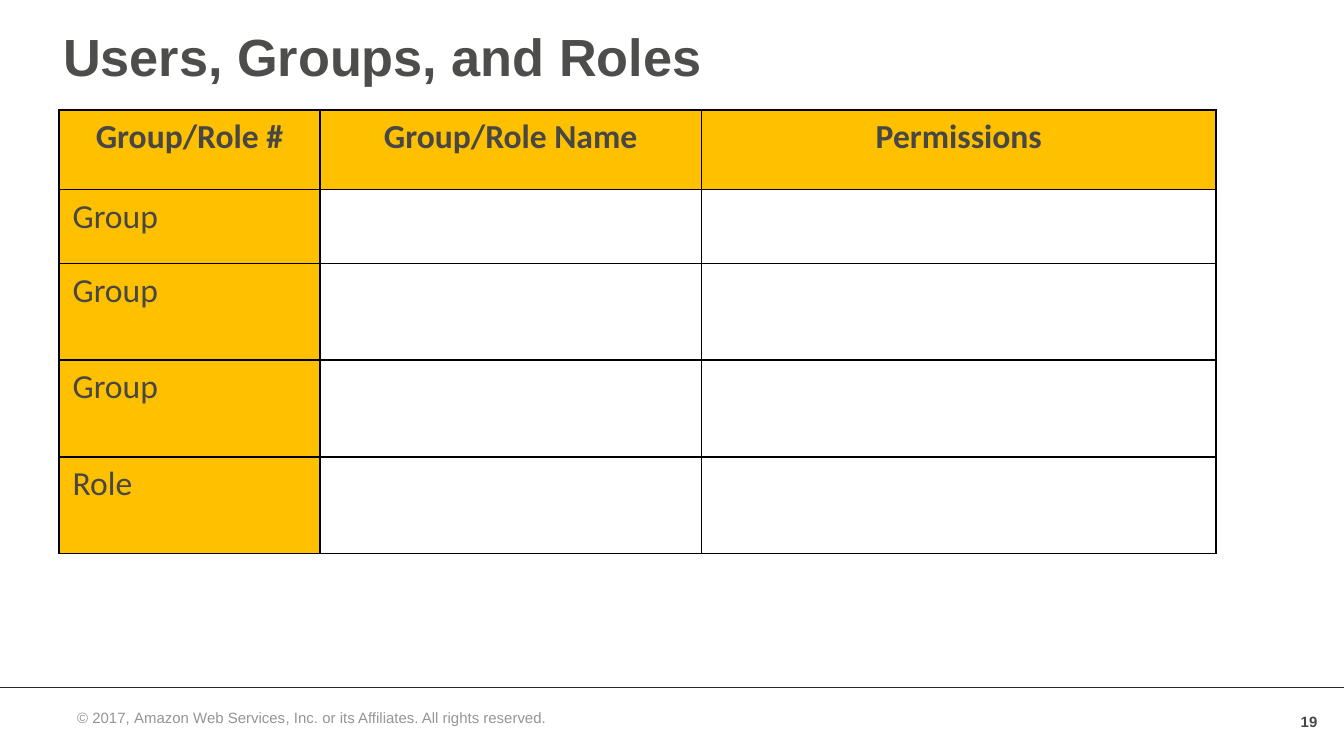
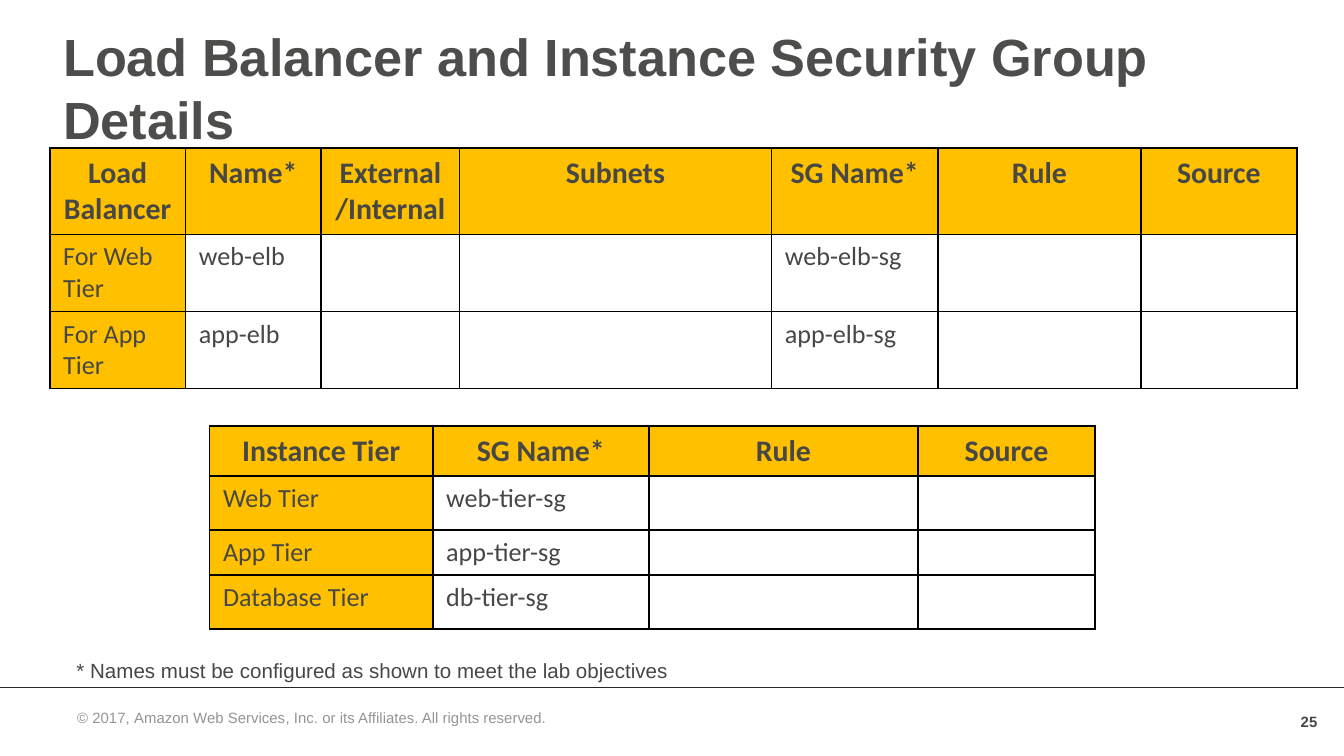
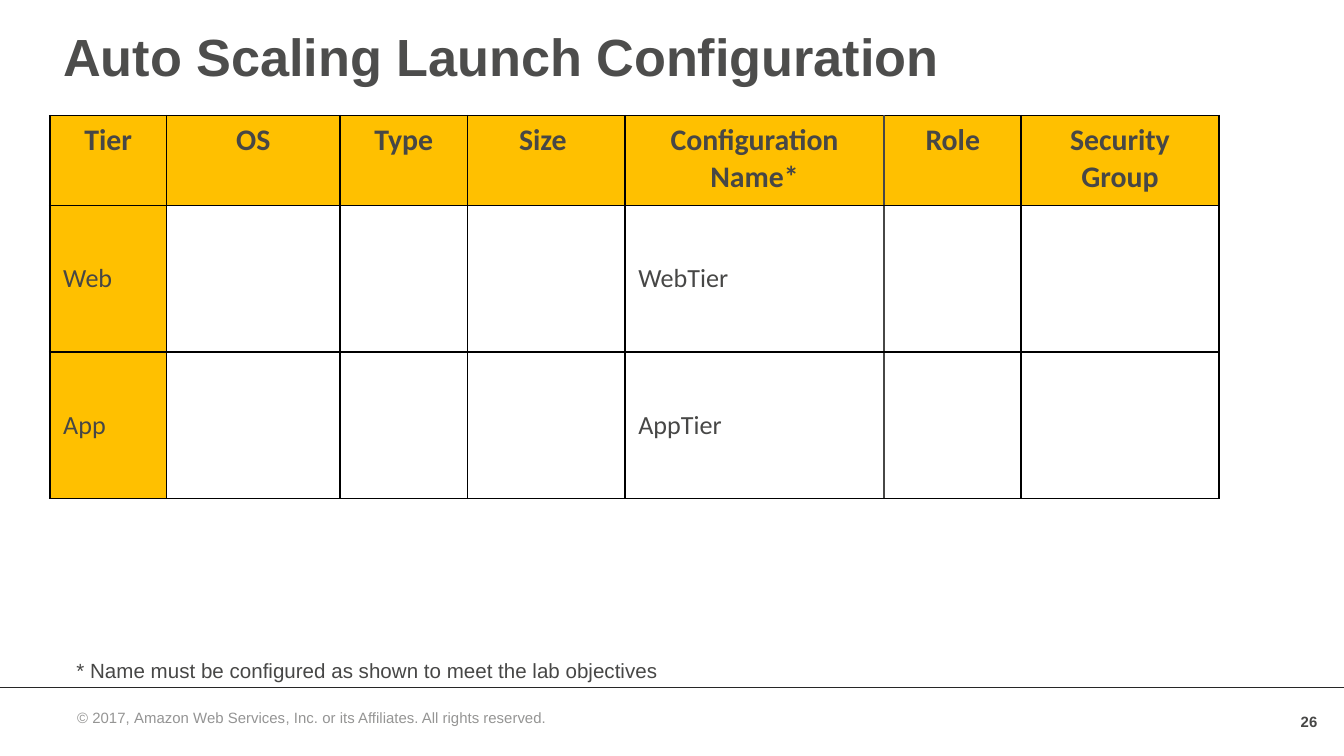
from itertools import cycle

from lxml import etree
from pptx import Presentation
from pptx.dml.color import RGBColor
from pptx.enum.shapes import MSO_CONNECTOR
from pptx.enum.text import MSO_ANCHOR, MSO_AUTO_SIZE, PP_ALIGN
from pptx.oxml.ns import qn
from pptx.util import Inches, Pt

LEFT, MID, RIGHT = PP_ALIGN.LEFT, PP_ALIGN.CENTER, PP_ALIGN.RIGHT
TOP, CENTER = MSO_ANCHOR.TOP, MSO_ANCHOR.MIDDLE
FIT, FIXED = MSO_AUTO_SIZE.SHAPE_TO_FIT_TEXT, MSO_AUTO_SIZE.NONE
STRAIGHT = MSO_CONNECTOR.STRAIGHT

# Theme: colours and text looks
INK = "474746"
THEME = {
    "gold": "FFC000", "edge": "000000", "rule": "272727",
    "title": {"name": "Arial", "size": Pt(28), "bold": True, "rgb": "4D4D4C"},
    "note": {"name": "Arial", "size": Pt(11), "bold": False, "rgb": INK},
    "page": {"name": "Arial", "size": Pt(8), "bold": True, "rgb": INK},
    "legal": {"name": "Arial", "size": Pt(8), "bold": False, "rgb": "959594"},
    "legal2": {"name": "Arial", "size": Pt(8), "bold": False, "rgb": "949494"},
    "cell": {"name": "Calibri", "rgb": INK},
}
LEGAL = ["© 2017, ", "Amazon Web Services", ", Inc. ", "or",
         " its Affiliates. All rights reserved."]

# Content: each table has its place, columns, rows, type sizes and text
SLIDES = [
    {"title": "Users, Groups, and Roles", "page": "19", "tables": [
        {"at": (0.44, 0.82), "cols": [1.94, 2.84, 3.83],
         "rows": [0.59, 0.55, 0.72, 0.72, 0.72], "sizes": (18, 18),
         "text": [["Group/Role #", "Group/Role Name", "Permissions"],
                  ["Group"], ["Group"], ["Group"], ["Role"]]}]},
    {"title": "Load Balancer and Instance Security Group Details",
     "page": "25",
     "note": "* Names must be configured as shown to meet the lab objectives",
     "tables": [
         {"at": (0.37, 1.1), "cols": [1.01, 1.01, 1.03, 2.32, 1.24, 1.51, 1.16],
          "rows": [0.61, 0.35, 0.29], "sizes": (16, 14),
          "text": [["Load Balancer", "Name*", "External/Internal", "Subnets",
                    "SG Name*", "Rule", "Source"],
                   ["For Web Tier", "web-elb", "", "", "web-elb-sg"],
                   ["For App Tier", "app-elb", "", "", "app-elb-sg"]]},
         {"at": (1.56, 3.17), "cols": [1.66, 1.61, 2, 1.32],
          "rows": [0.35, 0.4, 0.29, 0.4], "sizes": (16, 14),
          "text": [["Instance Tier", "SG Name*", "Rule", "Source"],
                   ["Web Tier", "web-tier-sg"],
                   ["App Tier", "app-tier-sg"],
                   ["Database Tier", "db-tier-sg"]]}]},
    {"title": "Auto Scaling Launch Configuration", "page": "26",
     "note": "* Name must be configured as shown to meet the lab objectives",
     "tables": [
         {"at": (0.37, 0.86), "cols": [0.87, 1.29, 0.95, 1.17, 1.93, 1.02, 1.47],
          "rows": [0.67, 1.09, 1.09], "sizes": (16, 14),
          "anchor": CENTER, "seam": 5,
          "text": [["Tier", "OS", "Type", "Size ", "Configuration Name*",
                    "Role", "Security Group"],
                   ["Web", "", "", "", "WebTier"],
                   ["App", "", "", "", "AppTier"]]}]},
]


def write(par, text, look, align=LEFT):
    """Add one run of text in the given look."""
    par.alignment = align
    run = par.add_run()
    run.text = text
    for key, value in look.items():
        if key == "rgb":
            run.font.color.rgb = RGBColor.from_string(value)
        else:
            setattr(run.font, key, value)


def add_box(slide, at, **frame):
    """Add a wrapping text box and return its first paragraph."""
    box = slide.shapes.add_textbox(*map(Inches, at)).text_frame
    box.word_wrap = True
    for key, value in frame.items():
        setattr(box, key, value)
    return box.paragraphs[0]


deck = Presentation()
deck.slide_width, deck.slide_height = Inches(10), Inches(10 * 9 / 16)

for data in SLIDES:
    slide = deck.slides.add_slide(deck.slide_layouts[5])

    # Title
    title = slide.shapes.title
    title.left, title.top = Inches(0.37), Inches(0.13)
    title.width, title.height = Inches(8.97), Inches(0.61)
    frame = title.text_frame
    frame.auto_size, frame.vertical_anchor = FIXED, TOP
    frame.word_wrap = True
    write(frame.paragraphs[0], data["title"], THEME["title"])

    # Tables
    for plan in data["tables"]:
        cols, rows = plan["cols"], plan["rows"]
        x, y = plan["at"]
        table = slide.shapes.add_table(
            len(rows), len(cols), Inches(x), Inches(y),
            Inches(sum(cols)), Inches(sum(rows))).table
        table.horz_banding = False
        for col, width in zip(table.columns, cols):
            col.width = Inches(width)
        for row, height in zip(table.rows, rows):
            row.height = Inches(height)

        for r, words in enumerate(plan["text"]):
            head = r == 0
            size = Pt(plan["sizes"][0 if head else 1])
            look = {**THEME["cell"], "size": size, "bold": head}
            for c in range(len(cols)):
                cell = table.cell(r, c)
                cell.vertical_anchor = (
                    TOP if head else plan.get("anchor", TOP))

                # Borders; the seam is one lighter column edge
                props = cell._tc.get_or_add_tcPr()
                seam = plan.get("seam")
                for side, edge in (("L", c), ("R", c + 1),
                                   ("T", None), ("B", None)):
                    light = edge is not None and edge == seam
                    line = etree.SubElement(
                        props, qn("a:ln" + side), w=str(Pt(1)))
                    fill = etree.SubElement(line, qn("a:solidFill"))
                    etree.SubElement(fill, qn("a:srgbClr"),
                                     val=INK if light else THEME["edge"])

                # Gold header row and first column
                if head or c == 0:
                    cell.fill.solid()
                    cell.fill.fore_color.rgb = RGBColor.from_string(
                        THEME["gold"])
                else:
                    cell.fill.background()

                # Text, or the type size that an empty cell keeps
                par = cell.text_frame.paragraphs[0]
                if c < len(words) and words[c]:
                    write(par, words[c], look, MID if head else LEFT)
                else:
                    etree.SubElement(par._p, qn("a:endParaRPr"),
                                     sz=str(int(size.pt * 100)))

    # Footnote
    if "note" in data:
        par = add_box(slide, (0.47, 4.85, 6.79, 0.29), auto_size=FIT)
        write(par, data["note"], THEME["note"])

    # Footer: rule, copyright line and page number
    rule = slide.shapes.add_connector(
        STRAIGHT, 0, Inches(5.11), Inches(10), Inches(5.11))
    rule.line.color.rgb = RGBColor.from_string(THEME["rule"])
    rule.line.width = Pt(0.25)
    etree.SubElement(rule._element.spPr, qn("a:effectLst"))

    par = add_box(slide, (0.37, 5.22, 3.9, 0.3))
    for text, tone in zip(LEGAL, cycle(("legal", "legal2"))):
        write(par, text, THEME[tone], MID)

    par = add_box(slide, (9.55, 5.22, 0.35, 0.3), vertical_anchor=CENTER)
    write(par, data["page"], THEME["page"], RIGHT)

deck.save("out.pptx")
